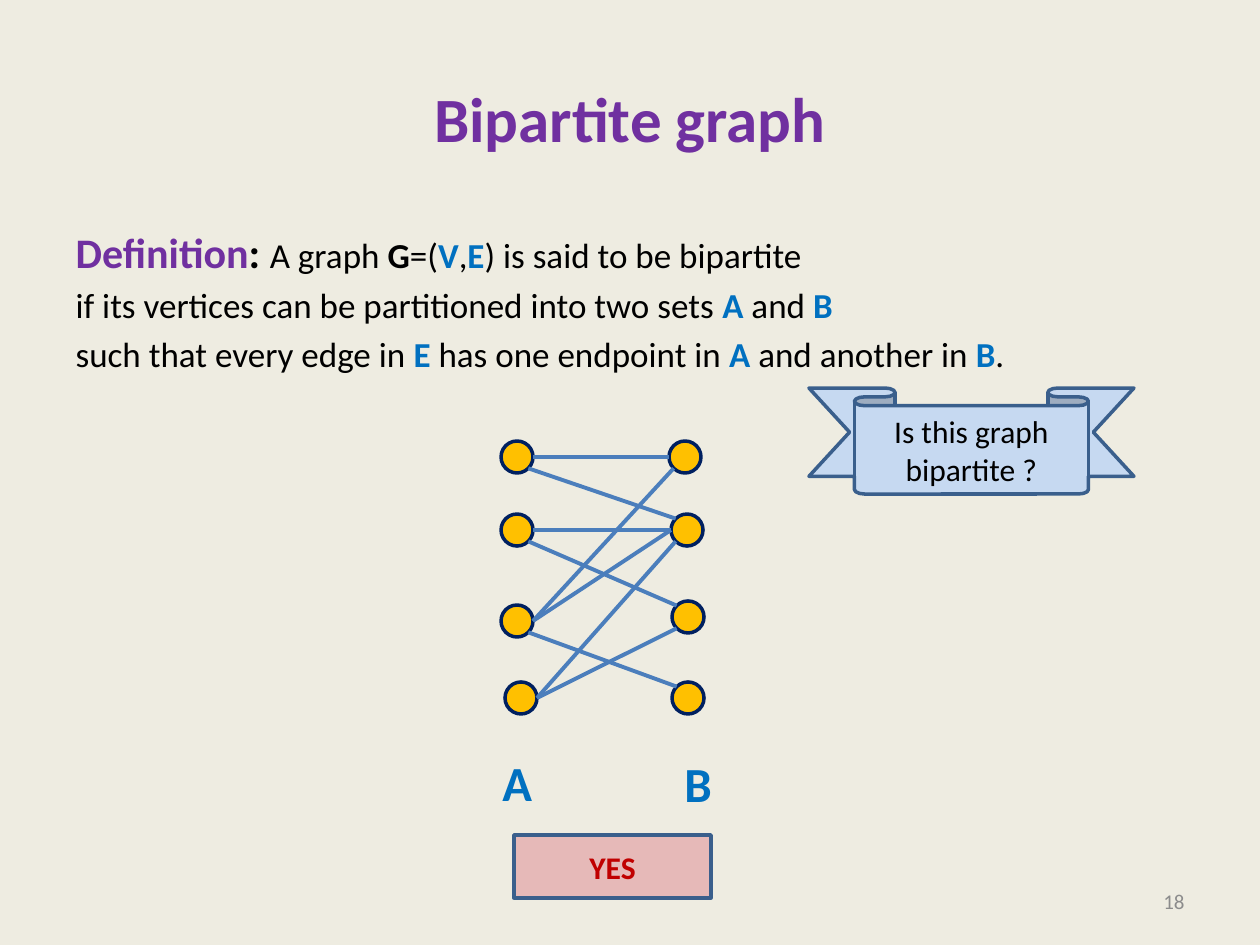
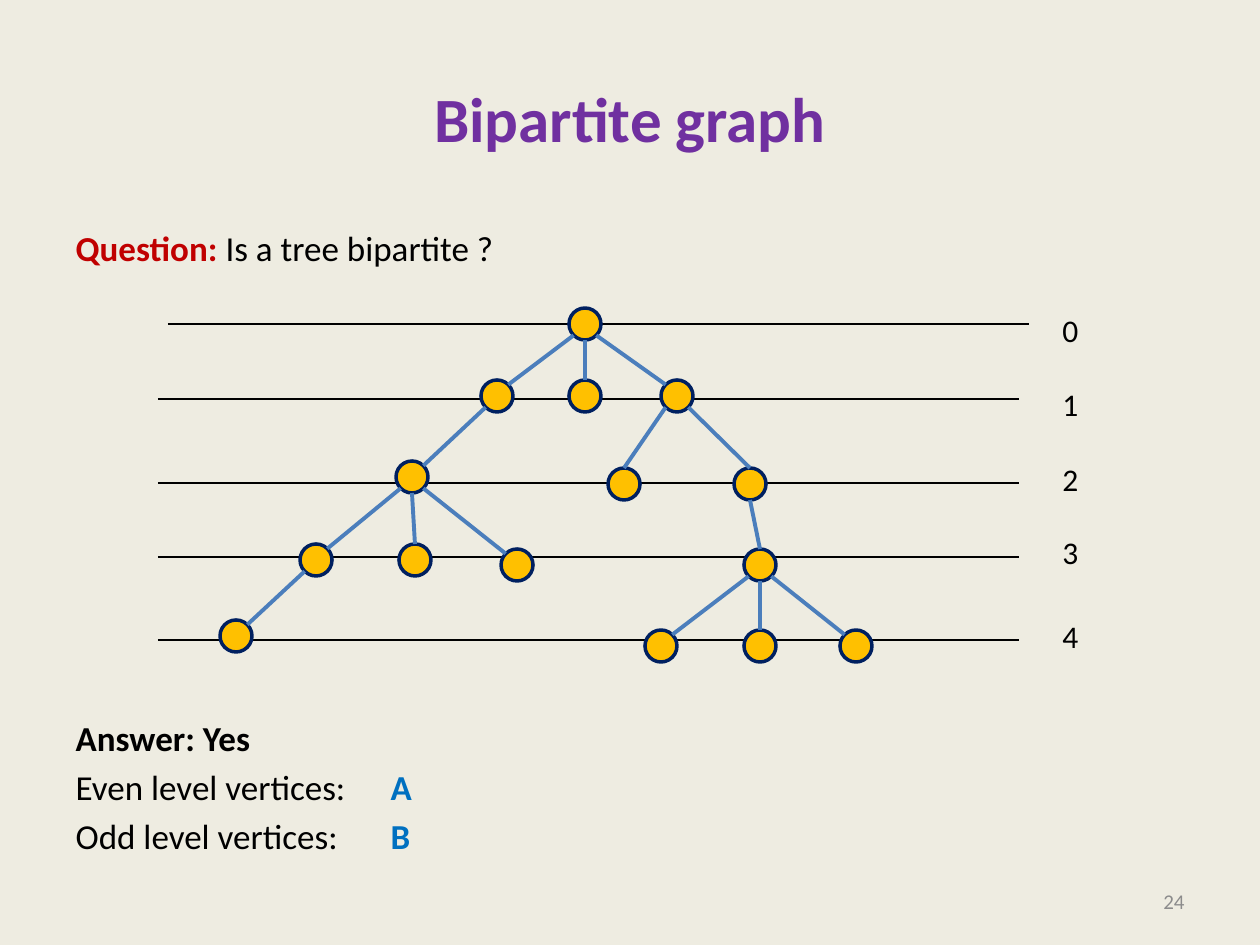
"""Build two slides on bipartite graphs: the definition and the tree question."""
from lxml.etree import SubElement
from pptx import Presentation
from pptx.dml.color import RGBColor
from pptx.enum.shapes import MSO_CONNECTOR as CONNECTOR, MSO_SHAPE as SHAPE
from pptx.enum.text import MSO_ANCHOR as ANCHOR, MSO_AUTO_SIZE as AUTO_SIZE, PP_ALIGN as ALIGN
from pptx.oxml.ns import qn
from pptx.util import Pt

PX = 914400 / 126
FONT = "Calibri"
CREAM = RGBColor(0xEE, 0xEC, 0xE1)
PURPLE = RGBColor(0x70, 0x30, 0xA0)
BLUE = RGBColor(0x00, 0x70, 0xC0)
RED = RGBColor(0xC0, 0x00, 0x00)
BLACK = RGBColor(0x00, 0x00, 0x00)
GREY = RGBColor(0x8C, 0x8C, 0x8C)
AMBER = RGBColor(0xFF, 0xC0, 0x00)
NAVY = RGBColor(0x00, 0x20, 0x60)
EDGE_BLUE = RGBColor(0x4B, 0x7E, 0xBC)
BORDER_BLUE = RGBColor(0x3A, 0x5F, 0x8C)
PALE_BLUE = RGBColor(0xC6, 0xD9, 0xF1)
PINK = RGBColor(0xE6, 0xB9, 0xB8)

RADIUS = 16
DIAGONAL = 0.71
COMPASS = {
    "N": (0, -1), "S": (0, 1), "E": (1, 0), "W": (-1, 0),
    "NE": (DIAGONAL, -DIAGONAL), "NW": (-DIAGONAL, -DIAGONAL),
    "SE": (DIAGONAL, DIAGONAL), "SW": (-DIAGONAL, DIAGONAL),
}


def emu(*lengths):
    return [round(length * PX) for length in lengths]


def add_line(slide, ends, colour, width):
    line = slide.shapes.add_connector(CONNECTOR.STRAIGHT, *emu(*ends))
    line.line.color.rgb = colour
    line.line.width = Pt(width)
    SubElement(line._element.spPr, qn("a:effectLst"))


prs = Presentation()
prs.slide_width, prs.slide_height = emu(1260, 945)
background = prs.slide_master.background.fill
background.solid()
background.fore_color.rgb = CREAM

definition_text = [
    (0, [("Definition", PURPLE, True), (": ", BLACK, True), ("A graph ", BLACK, False),
         ("G", BLACK, True), ("=(", BLACK, False), ("V", BLUE, True), (",", BLACK, False),
         ("E", BLUE, True), (") is said to be bipartite", BLACK, False)]),
    (4, [("if its vertices can be partitioned into two sets ", BLACK, False),
         ("A", BLUE, True), (" and ", BLACK, False), ("B", BLUE, True)]),
    (4, [("such that every edge in ", BLACK, False), ("E", BLUE, True),
         (" has one endpoint in ", BLACK, False), ("A", BLUE, True),
         (" and another in ", BLACK, False), ("B", BLUE, True), (".", BLACK, False)]),
]
tree_text = [
    (0, [("Question: ", RED, True), ("Is a tree bipartite ?", BLACK, False)]),
    (256, [("Answer: Yes", BLACK, True)]),
    (4, [("Even level vertices:\t", BLACK, False), ("A", BLUE, True)]),
    (4, [("Odd level vertices:\t", BLACK, False), ("B", BLUE, True)]),
]

slides = []
for body_text, body_height in ((definition_text, 624), (tree_text, 683)):
    slide = prs.slides.add_slide(prs.slide_layouts[1])
    slides.append(slide)
    title, body = slide.placeholders
    title.left, title.top, title.width, title.height = emu(63, 38, 1134, 158)
    title.text_frame.text = "Bipartite graph"
    title.text_frame.vertical_anchor = ANCHOR.MIDDLE
    heading = title.text_frame.paragraphs[0]
    heading.alignment = ALIGN.CENTER
    heading.font.name, heading.font.size, heading.font.bold = FONT, Pt(36), True
    heading.font.color.rgb = PURPLE

    body.left, body.top, body.width, body.height = emu(63, 220, 1134, body_height)
    body.text_frame.auto_size = AUTO_SIZE.NONE
    for index, (space, runs) in enumerate(body_text):
        paragraph = body.text_frame.paragraphs[0] if index == 0 else body.text_frame.add_paragraph()
        properties = paragraph._p.get_or_add_pPr()
        properties.set("marL", "0")
        properties.set("indent", "0")
        SubElement(properties, qn("a:buNone"))
        if "\t" in runs[0][0]:
            tabs = SubElement(properties, qn("a:tabLst"))
            SubElement(tabs, qn("a:tab"), pos=str(emu(286)[0]), algn="l")
        paragraph.space_before = Pt(space)
        paragraph.font.name, paragraph.font.size = FONT, Pt(20)
        for words, colour, bold in runs:
            run = paragraph.add_run()
            run.text = words
            run.font.bold = bold
            run.font.color.rgb = colour

definition_slide, tree_slide = slides
for run in definition_slide.placeholders[1].text_frame.paragraphs[0].runs[:2]:
    run.font.size = Pt(24)

levels = [(168, 324, 305), (158, 399, 379), (158, 483, 454), (158, 557, 527), (158, 640, 611)]
for left, y, label_top in levels:
    add_line(tree_slide, (left, y, left + 861, y), BLACK, 0.75)

two_sets = {
    "a1": (517, 457), "a2": (517, 530), "a3": (517, 621), "a4": (521, 698),
    "b1": (685, 457), "b2": (687, 530), "b3": (688, 617), "b4": (688, 698),
}
two_set_edges = [
    ("a1", "E", "b1", "W"), ("a2", "E", "b2", "W"), ("a3", "E", "b2", "W"),
    ("a1", "SE", "b2", "NW"), ("a3", "E", "b1", "SW"), ("a4", "E", "b2", "SW"),
    ("a3", "SE", "b4", "NW"), ("a2", "SE", "b3", "NW"), ("a4", "E", "b3", "SW"),
]
tree = {
    "root": (585, 324),
    "1a": (497, 396), "1b": (585, 396), "1c": (677, 396),
    "2a": (412, 477), "2b": (624, 484), "2c": (750, 484),
    "3a": (316, 560), "3b": (415, 560), "3c": (517, 565), "3d": (760, 565),
    "4a": (236, 636), "4b": (661, 646), "4c": (760, 646), "4d": (856, 646),
}
tree_edges = [
    ("root", "SW", "1a", "NE"), ("root", "S", "1b", "N"), ("root", "SE", "1c", "NW"),
    ("1a", "SW", "2a", "NE"), ("1c", "SW", "2b", "N"), ("1c", "SE", "2c", "N"),
    ("2a", "SW", "3a", "NE"), ("2a", "S", "3b", "N"), ("2a", "SE", "3c", "NW"),
    ("2c", "S", "3d", "N"), ("3a", "SW", "4a", "NE"),
    ("3d", "SW", "4b", "NE"), ("3d", "S", "4c", "N"), ("3d", "SE", "4d", "NW"),
]
for slide, vertices, edges in ((definition_slide, two_sets, two_set_edges),
                               (tree_slide, tree, tree_edges)):
    for x, y in vertices.values():
        vertex = slide.shapes.add_shape(
            SHAPE.OVAL, *emu(x - RADIUS, y - RADIUS, 2 * RADIUS, 2 * RADIUS))
        vertex.shadow.inherit = False
        vertex.fill.solid()
        vertex.fill.fore_color.rgb = AMBER
        vertex.line.color.rgb = NAVY
        vertex.line.width = Pt(2)
    for start, start_side, end, end_side in edges:
        ends = [centre + RADIUS * offset
                for name, side in ((start, start_side), (end, end_side))
                for centre, offset in zip(vertices[name], COMPASS[side])]
        add_line(slide, ends, EDGE_BLUE, 2.25)

labels = [
    (definition_slide, "A", (490, 746, 55, 72), 28, BLUE, True, ALIGN.LEFT),
    (definition_slide, "B", (672, 747, 53, 72), 28, BLUE, True, ALIGN.LEFT),
    (definition_slide, "18", (903, 876, 294, 50), 12, GREY, False, ALIGN.RIGHT),
    (tree_slide, "24", (903, 876, 294, 50), 12, GREY, False, ALIGN.RIGHT),
]
for level, (left, y, label_top) in enumerate(levels):
    labels.append((tree_slide, str(level), (1050, label_top, 42, 50), 18, BLACK, False, ALIGN.LEFT))
for slide, words, box, size, colour, bold, alignment in labels:
    label = slide.shapes.add_textbox(*emu(*box)).text_frame
    label.text = words
    label.word_wrap = alignment == ALIGN.RIGHT
    label.vertical_anchor = ANCHOR.MIDDLE if alignment == ALIGN.RIGHT else ANCHOR.TOP
    paragraph = label.paragraphs[0]
    paragraph.alignment = alignment
    paragraph.font.name, paragraph.font.size, paragraph.font.bold = FONT, Pt(size), bold
    paragraph.font.color.rgb = colour

for kind, adjustments, box, fill, words, colour, bold in (
    (SHAPE.DOWN_RIBBON, (0.167, 0.72), (809, 388, 325, 106), PALE_BLUE,
     "Is this graph bipartite ?", BLACK, False),
    (SHAPE.RECTANGLE, (), (514, 835, 197, 63), PINK, "YES", RED, True),
):
    callout = definition_slide.shapes.add_shape(kind, *emu(*box))
    for index, value in enumerate(adjustments):
        callout.adjustments[index] = value
    callout.shadow.inherit = False
    callout.fill.solid()
    callout.fill.fore_color.rgb = fill
    callout.line.color.rgb = BORDER_BLUE
    callout.line.width = Pt(2)
    callout.text_frame.text = words
    callout.text_frame.word_wrap = True
    callout.text_frame.vertical_anchor = ANCHOR.MIDDLE
    paragraph = callout.text_frame.paragraphs[0]
    paragraph.alignment = ALIGN.CENTER
    paragraph.font.name, paragraph.font.size, paragraph.font.bold = FONT, Pt(18), bold
    paragraph.font.color.rgb = colour

prs.save("out.pptx")
